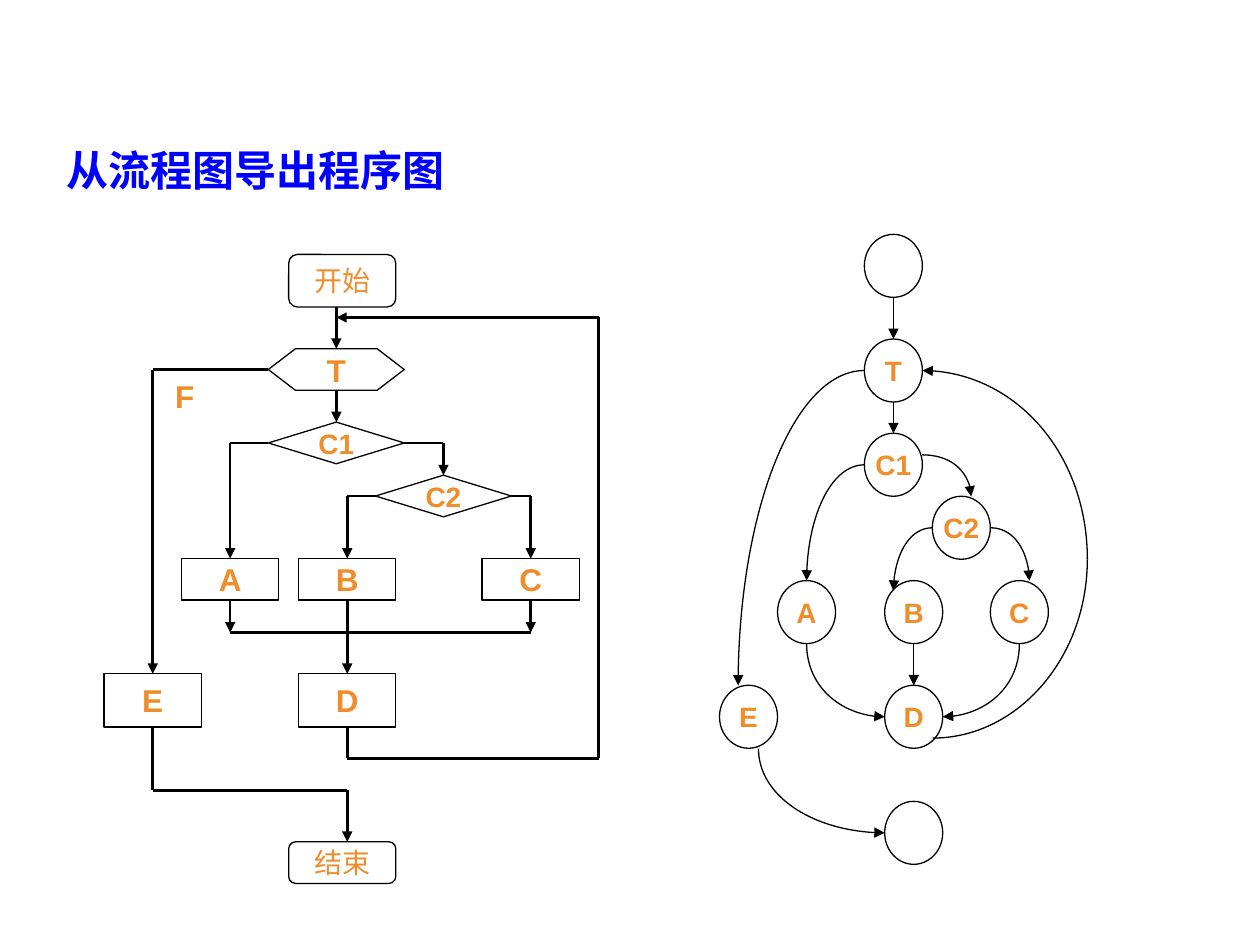
from pptx import Presentation
from pptx.dml.color import RGBColor
from pptx.enum.shapes import MSO_CONNECTOR, MSO_SHAPE
from pptx.enum.text import MSO_ANCHOR, PP_ALIGN
from pptx.oxml.ns import qn
from pptx.util import Cm, Pt
from lxml import etree

RECT = MSO_SHAPE.RECTANGLE
OVAL = MSO_SHAPE.OVAL
TERMINAL = MSO_SHAPE.FLOWCHART_ALTERNATE_PROCESS
DECISION = MSO_SHAPE.FLOWCHART_DECISION
PREPARATION = MSO_SHAPE.FLOWCHART_PREPARATION
STRAIGHT = MSO_CONNECTOR.STRAIGHT
CENTER, LEFT = PP_ALIGN.CENTER, PP_ALIGN.LEFT
MIDDLE = MSO_ANCHOR.MIDDLE
TOP_SIDE, LEFT_SIDE, BOTTOM_SIDE, RIGHT_SIDE = range(4)
CJK_FONT = "Noto Sans CJK SC"
BLACK, ORANGE, BLUE = "000000", "EF8D2B", "0000FF"
CURVE = 0.55  # Bezier handle length for a quarter ellipse


def write(s, text, size=16, font="Arial", color=ORANGE, bold=True,
          align=CENTER, wrap=False):
    tf = s.text_frame
    tf.word_wrap = wrap
    tf.vertical_anchor = MIDDLE
    p = tf.paragraphs[0]
    p.alignment = align
    r = p.add_run()
    r.text = text
    r.font.size = Pt(size)
    r.font.bold = bold
    r.font.name = font
    r.font.color.rgb = RGBColor.from_string(color)
    etree.SubElement(r.font._element, qn("a:ea"), typeface=CJK_FONT)


def outline(s, width=0.75, arrow=None):
    """Draw a black line without shadow; arrow is "head" (start) or "tail" (end)."""
    s.line.color.rgb = RGBColor.from_string(BLACK)
    s.line.width = Pt(width)
    spPr = s._element.spPr
    if arrow:
        etree.SubElement(spPr.find(qn("a:ln")), qn(f"a:{arrow}End"), type="triangle")
    etree.SubElement(spPr, qn("a:effectLst"))


prs = Presentation()
prs.slide_width, prs.slide_height = Cm(25.4), Cm(19.05)
slide = prs.slides.add_slide(prs.slide_layouts[6])
shapes = slide.shapes

title = shapes.add_textbox(Cm(1.09), Cm(2.92), Cm(9.25), Cm(0.99))
write(title, "从流程图导出程序图", size=24, font=CJK_FONT, color=BLUE, align=LEFT, wrap=True)
branch = shapes.add_textbox(Cm(3.28), Cm(7.45), Cm(0.79), Cm(1.07))
write(branch, "F", size=18)

# Flowchart and program graph nodes: key, shape, centre x, centre y, width, height, text, format
big = {"size": 18}
nodes = [
    ("start", TERMINAL, 6.9, 5.66, 2.16, 1.06, "开始", {"font": "Times New Roman", "bold": False}),
    ("T", PREPARATION, 6.78, 7.45, 2.74, 0.84, "T", big),
    ("C1", DECISION, 6.78, 8.93, 2.74, 0.84, "C1", {}),
    ("C2", DECISION, 8.94, 10, 2.74, 0.84, "C2", {}),
    ("A", RECT, 4.64, 11.68, 1.96, 0.84, "A", big),
    ("B", RECT, 7, 11.68, 1.96, 0.84, "B", big),
    ("C", RECT, 10.7, 11.68, 1.96, 0.84, "C", big),
    ("E", RECT, 3.08, 14.12, 1.96, 1.07, "E", big),
    ("D", RECT, 7, 14.12, 1.96, 1.07, "D", big),
    ("end", TERMINAL, 6.9, 17.39, 2.16, 0.84, "结束", {"bold": False}),
]
circles = [("start", 18.01, 5.36), ("T", 18.01, 7.47), ("C1", 18.01, 9.37),
           ("C2", 19.38, 10.64), ("A", 16.26, 12.34), ("B", 18.42, 12.34),
           ("C", 20.55, 12.34), ("E", 15.09, 14.45), ("D", 18.42, 14.45),
           ("end", 18.42, 16.79)]
nodes += [("graph " + name, OVAL, x, y, 1.17, 1.27,
           "" if name in ("start", "end") else name, {}) for name, x, y in circles]

boxes, ports = {}, {}
for key, kind, x, y, w, h, text, style in nodes:
    s = shapes.add_shape(kind, Cm(x - w / 2), Cm(y - h / 2), Cm(w), Cm(h))
    s.fill.background()
    outline(s)
    if text:
        write(s, text, **style)
    boxes[key] = s
    ports[key, TOP_SIDE] = (x, y - h / 2)
    ports[key, LEFT_SIDE] = (x - w / 2, y)
    ports[key, BOTTOM_SIDE] = (x, y + h / 2)
    ports[key, RIGHT_SIDE] = (x + w / 2, y)

# Straight lines: each end is a node side or a point
LOOP_Y, MERGE_Y, BACK_Y, EXIT_Y, LOOP_X = 6.4, 12.75, 15.29, 15.93, 12.07
lines = [
    ((6.78, 6.19), ("T", TOP_SIDE), "tail"),
    (("T", BOTTOM_SIDE), ("C1", TOP_SIDE), "tail"),
    (("T", LEFT_SIDE), (3.08, 7.45), None),
    ((3.08, 7.45), ("E", TOP_SIDE), "tail"),
    (("C1", LEFT_SIDE), (4.64, 8.93), None),
    ((4.64, 8.93), ("A", TOP_SIDE), "tail"),
    (("C1", RIGHT_SIDE), (8.94, 8.93), None),
    ((8.94, 8.93), ("C2", TOP_SIDE), "tail"),
    (("C2", LEFT_SIDE), (7, 10), None),
    ((7, 10), ("B", TOP_SIDE), "tail"),
    (("C2", RIGHT_SIDE), (10.7, 10), None),
    ((10.7, 10), ("C", TOP_SIDE), "tail"),
    (("A", BOTTOM_SIDE), (4.64, MERGE_Y), "tail"),
    (("C", BOTTOM_SIDE), (10.7, MERGE_Y), "tail"),
    ((7, MERGE_Y), (4.64, MERGE_Y), None),
    ((10.7, MERGE_Y), (7, MERGE_Y), None),
    (("B", BOTTOM_SIDE), ("D", TOP_SIDE), "tail"),
    (("D", BOTTOM_SIDE), (7, BACK_Y), None),
    ((LOOP_X, BACK_Y), (7, BACK_Y), None),
    ((LOOP_X, LOOP_Y), (LOOP_X, BACK_Y), None),
    ((LOOP_X, LOOP_Y), (6.78, LOOP_Y), "tail"),
    (("E", BOTTOM_SIDE), (3.08, EXIT_Y), None),
    ((7, EXIT_Y), (3.08, EXIT_Y), None),
    ((7, EXIT_Y), (7, 16.97), "tail"),
    (("graph start", BOTTOM_SIDE), ("graph T", TOP_SIDE), "tail"),
    (("graph T", BOTTOM_SIDE), ("graph C1", TOP_SIDE), "tail"),
    (("graph B", BOTTOM_SIDE), ("graph D", TOP_SIDE), "tail"),
]
for begin, end, arrow in lines:
    x1, y1 = ports.get(begin, begin)
    x2, y2 = ports.get(end, end)
    line = shapes.add_connector(STRAIGHT, Cm(x1), Cm(y1), Cm(x2), Cm(y2))
    in_graph = str(begin[0]).startswith("graph")
    # Ovals number their connection sites differently, so their lines stay free
    if begin in ports and not in_graph:
        line.begin_connect(boxes[begin[0]], begin[1])
    if end in ports and not in_graph:
        line.end_connect(boxes[end[0]], end[1])
    outline(line, 0.75 if in_graph else 1.5, arrow)

# Quarter-ellipse edges: they leave the first end horizontally, reach the second vertically
LOOP_MID = (21.92, 11.28)
curves = [
    (("graph C1", LEFT_SIDE), ("graph A", TOP_SIDE), "tail"),
    ((18.59, 9.17), (19.58, 10.01), "tail"),
    (("graph C2", RIGHT_SIDE), (20.75, 11.71), "tail"),
    (("graph C2", LEFT_SIDE), (18.01, 11.91), "tail"),
    (("graph D", LEFT_SIDE), ("graph A", BOTTOM_SIDE), "head"),
    (("graph D", RIGHT_SIDE), ("graph C", BOTTOM_SIDE), "head"),
    (("graph T", LEFT_SIDE), (14.88, 13.82), "tail"),
    ((18.8, 14.88), LOOP_MID, None),
    (("graph T", RIGHT_SIDE), LOOP_MID, "head"),
    (("graph end", LEFT_SIDE), (15.29, 15.09), "head"),
]
for begin, end, arrow in curves:
    x1, y1 = ports.get(begin, begin)
    x2, y2 = ports.get(end, end)
    builder = shapes.build_freeform(Cm(x1), Cm(y1))
    builder.add_line_segments([(Cm(x2), Cm(y2))], close=False)
    s = builder.convert_to_shape()
    s.fill.background()
    outline(s, arrow=arrow)
    # Turn the straight segment into a Bezier curve
    segment = next(s._element.iter(qn("a:lnTo")))
    (px1, py1), (px2, py2) = [(int(pt.get("x")), int(pt.get("y")))
                              for pt in s._element.iter(qn("a:pt"))]
    handles = [(px1 + CURVE * (px2 - px1), py1), (px2, py2 - CURVE * (py2 - py1))]
    bezier = etree.SubElement(segment.getparent(), qn("a:cubicBezTo"))
    for x, y in handles + [(px2, py2)]:
        etree.SubElement(bezier, qn("a:pt"), x=str(round(x)), y=str(round(y)))
    segment.getparent().remove(segment)

prs.save("out.pptx")
